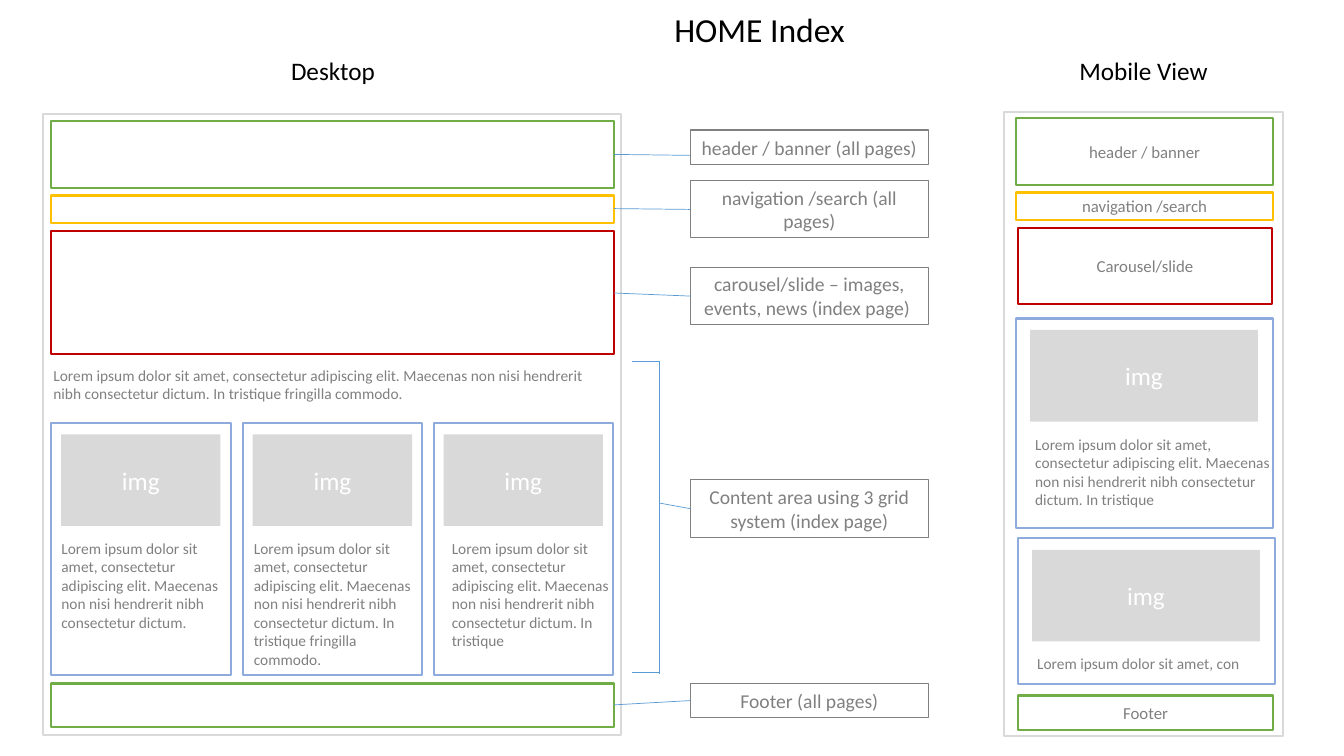
import pptx
import pptx.util
import pptx.dml.color
import pptx.enum.shapes
import pptx.enum.text
import pptx.oxml.ns
import lxml.etree

Pt = pptx.util.Pt
RGBColor = pptx.dml.color.RGBColor
ALIGN = pptx.enum.text.PP_ALIGN
ANCHOR = pptx.enum.text.MSO_ANCHOR
AUTO_SIZE = pptx.enum.text.MSO_AUTO_SIZE

BLACK = RGBColor(0x00, 0x00, 0x00)
WHITE = RGBColor(0xFF, 0xFF, 0xFF)
GRAY = RGBColor(0x80, 0x80, 0x80)
LIGHT_GRAY = RGBColor(0xD9, 0xD9, 0xD9)
GREEN = RGBColor(0x70, 0xAD, 0x47)
YELLOW = RGBColor(0xFF, 0xC0, 0x00)
RED = RGBColor(0xC0, 0x00, 0x00)
CARD_BLUE = RGBColor(0x8F, 0xAA, 0xDC)
LINK_BLUE = RGBColor(0x5B, 0x9B, 0xD5)

LOREM_SHORT = "Lorem ipsum dolor sit amet, con"
LOREM = (LOREM_SHORT + "sectetur adipiscing elit. Maecenas non nisi "
         "hendrerit nibh consectetur dictum. ")
LOREM_MEDIUM = LOREM + "In tristique"
LOREM_LONG = LOREM_MEDIUM + " fringilla commodo. "

REGION_LEFT, REGION_WIDTH = 36.7, 401.8
REGION_RIGHT = REGION_LEFT + REGION_WIDTH
CALLOUT_LEFT, CALLOUT_WIDTH = 493.2, 169.9
IMAGE_HEIGHT = 65.5
BRACKET_LEFT, BRACKET_RIGHT = 451.4, 470.9


def write(frame, text, size, color, align, anchor):
    frame.word_wrap = True
    frame.vertical_anchor = anchor
    frame.text = text
    paragraph = frame.paragraphs[0]
    paragraph.alignment = align
    paragraph.font.name = "Calibri"
    paragraph.font.size = Pt(size)
    paragraph.font.color.rgb = color


def add_box(slide, bounds, outline=None, weight=1.5, fill=None,
            text="", size=12, color=GRAY):
    box = slide.shapes.add_shape(
        pptx.enum.shapes.MSO_SHAPE.RECTANGLE, *map(Pt, bounds))
    box.shadow.inherit = False
    if fill is None:
        box.fill.background()
    else:
        box.fill.solid()
        box.fill.fore_color.rgb = fill
    if outline is None:
        box.line.fill.background()
    else:
        box.line.color.rgb = outline
        box.line.width = Pt(weight)
    if text:
        write(box.text_frame, text, size, color, ALIGN.CENTER, ANCHOR.MIDDLE)


def add_text(slide, bounds, text, size=11, color=GRAY, align=ALIGN.LEFT):
    label = slide.shapes.add_textbox(*map(Pt, bounds))
    write(label.text_frame, text, size, color, align, ANCHOR.TOP)
    label.text_frame.auto_size = AUTO_SIZE.SHAPE_TO_FIT_TEXT


def add_link(slide, *ends):
    link = slide.shapes.add_connector(
        pptx.enum.shapes.MSO_CONNECTOR.STRAIGHT, *map(Pt, ends))
    link.line.color.rgb = LINK_BLUE
    link.line.width = Pt(0.5)
    lxml.etree.SubElement(link._element.spPr,
                          pptx.oxml.ns.qn("a:effectLst"))


def add_card(slide, bounds, image_inset, image_width, text_inset,
             text_height, text):
    left, top, width, height = bounds
    add_box(slide, bounds, CARD_BLUE)
    add_box(slide, (left + image_inset, top + 8.2, image_width, IMAGE_HEIGHT),
            fill=LIGHT_GRAY, text="img", size=18, color=WHITE)
    add_text(slide, (left + text_inset, top + 79.5, width, text_height), text)


def add_titles(slide):
    title = slide.shapes.title
    title.left, title.top, title.width, title.height = map(
        Pt, (421.9, 2.9, 241.2, 36))
    write(title.text_frame, "HOME Index", 24, BLACK, ALIGN.CENTER, ANCHOR.TOP)
    title.text_frame.auto_size = AUTO_SIZE.SHAPE_TO_FIT_TEXT
    for left, heading in ((170.6, "Desktop"), (749.5, "Mobile View")):
        add_text(slide, (left, 36, 134.6, 28.8), heading, 18, BLACK,
                 ALIGN.CENTER)


def add_desktop(slide):
    add_box(slide, (31, 81.4, 412.6, 443.5), LIGHT_GRAY)
    for top, height, outline in ((86.4, 48.2, GREEN), (139.7, 19.4, YELLOW),
                                 (164.9, 87.8, RED), (488.2, 31, GREEN)):
        add_box(slide, (REGION_LEFT, top, REGION_WIDTH, height), outline)
    add_text(slide, (31, 257.8, 406.8, 33.8), LOREM_LONG)
    for left, text_inset, text_height, text in (
            (REGION_LEFT, 0, 74.2, LOREM),
            (173.5, 0.7, 100.8, LOREM_LONG),
            (309.8, 5.8, 87.1, LOREM_MEDIUM)):
        add_card(slide, (left, 302, 128.2, 180), 7, 113.8,
                 text_inset, text_height, text)


def add_callouts(slide):
    for top, height, text in (
            (92.9, 24.5, "header / banner (all pages)"),
            (128.9, 41, "navigation /search (all pages)"),
            (190.8, 41, "carousel/slide – images, events, news (index page) "),
            (342.7, 41, "Content area using 3 grid system (index page)"),
            (488.2, 24.5, "Footer (all pages)")):
        add_box(slide, (CALLOUT_LEFT, top, CALLOUT_WIDTH, height), GRAY, 0.75,
                text=text, size=14)
    for region_y, callout_y in ((110.3, 111), (149, 149.6),
                                (209.3, 211.5), (503.5, 500.4)):
        add_link(slide, REGION_RIGHT, region_y, CALLOUT_LEFT, callout_y)
    for bracket_y in (257.8, 480.2):
        add_link(slide, BRACKET_LEFT, bracket_y, BRACKET_RIGHT, bracket_y)
    add_link(slide, BRACKET_RIGHT, 257.8, BRACKET_RIGHT, 481.7)
    add_link(slide, CALLOUT_LEFT, 363.4, BRACKET_RIGHT, 359.3)


def add_mobile(slide):
    add_box(slide, (717.1, 79.9, 199.4, 445.7), LIGHT_GRAY)
    for bounds, outline, text in (
            ((725.8, 84.2, 183.6, 48.2), GREEN, "header / banner"),
            ((725.8, 137.5, 183.6, 19.4), YELLOW, "navigation /search"),
            ((727.2, 162.7, 181.4, 54.7), RED, "Carousel/slide"),
            ((727.2, 496.8, 182.2, 24.5), GREEN, "Footer")):
        add_box(slide, bounds, outline, text=text)
    for left, top, height, text_height, text in (
            (725.8, 227.5, 149.8, 60.5, LOREM_MEDIUM),
            (727.2, 384.5, 104.4, 20.9, LOREM_SHORT)):
        add_card(slide, (left, top, 183.6, height), 10, 162.7,
                 6.5, text_height, text)


def main():
    presentation = pptx.Presentation()
    presentation.slide_width = Pt(960)
    presentation.slide_height = Pt(540)
    slide = presentation.slides.add_slide(presentation.slide_layouts[5])
    add_titles(slide)
    add_desktop(slide)
    add_callouts(slide)
    add_mobile(slide)
    presentation.save("out.pptx")


main()
